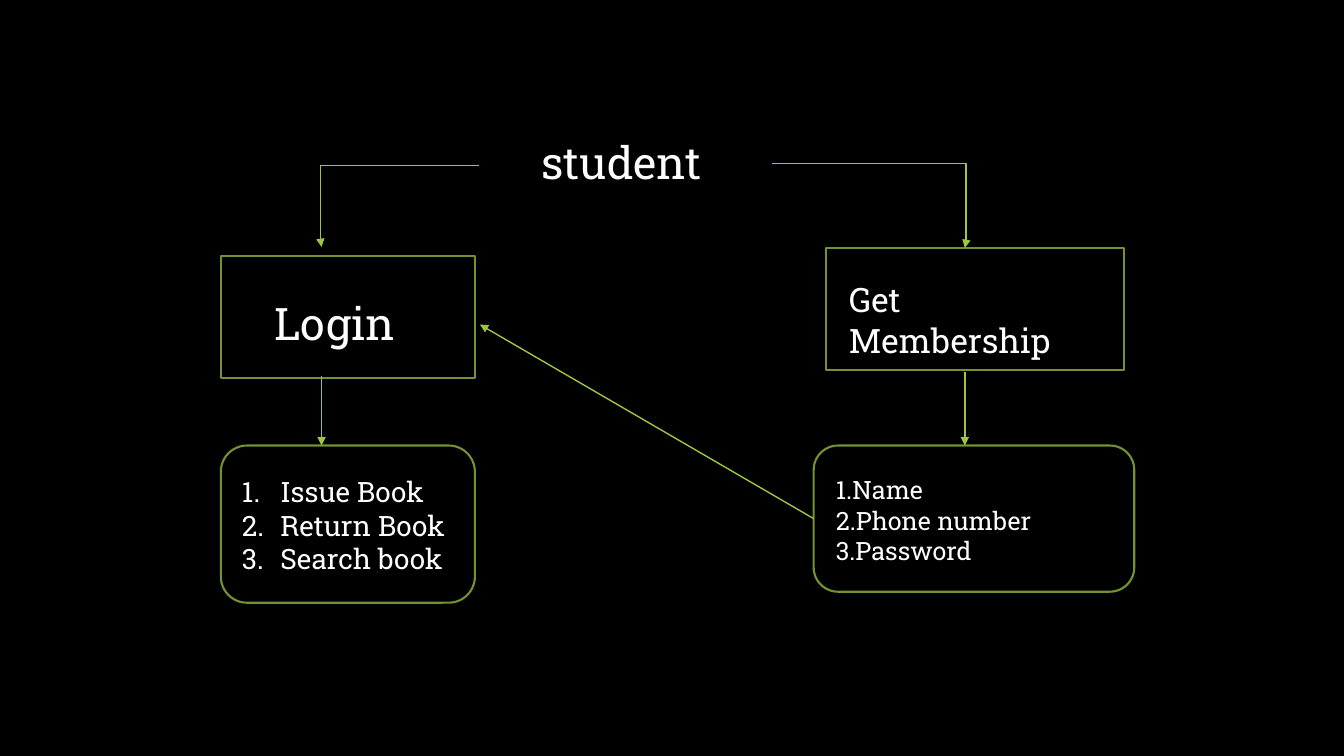
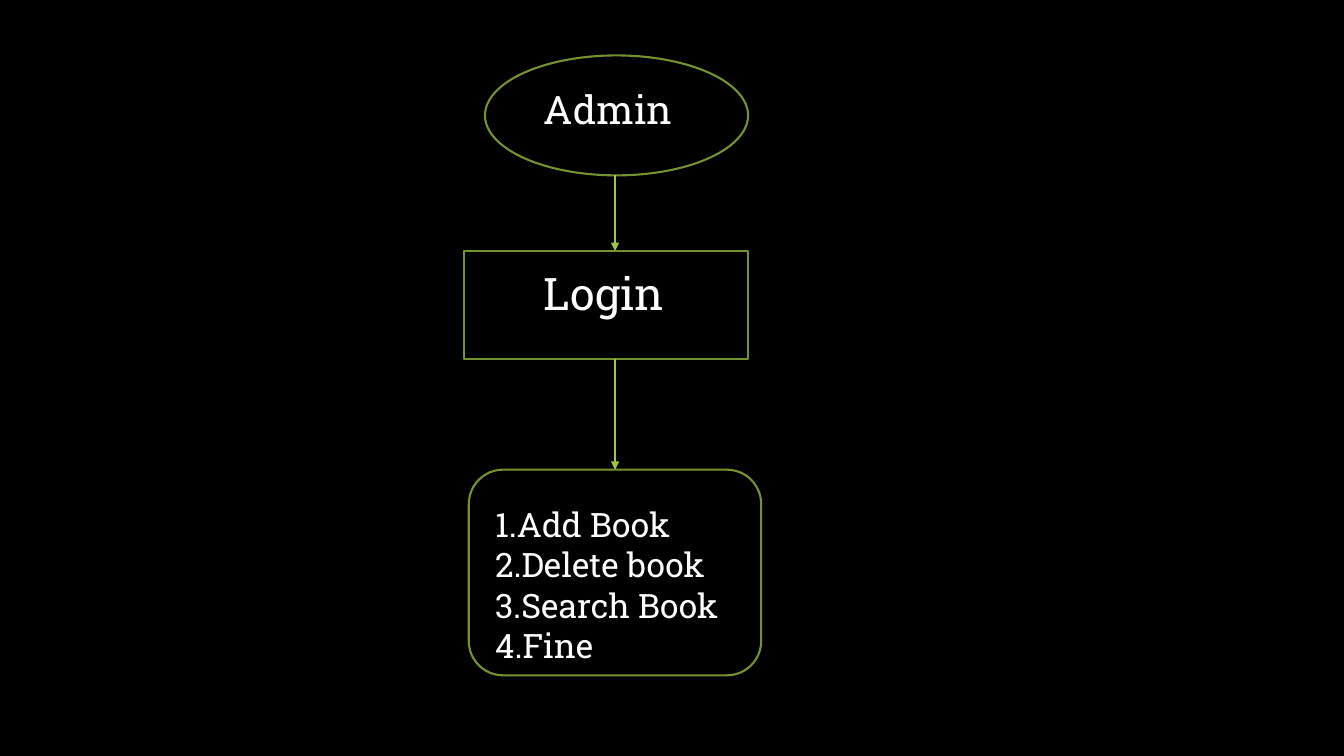
from dataclasses import dataclass

from lxml import etree
from pptx import Presentation
from pptx.dml.color import RGBColor
from pptx.enum import shapes, text
from pptx.oxml import ns
from pptx.util import Inches, Pt

BLACK = RGBColor(0x00, 0x00, 0x00)
WHITE = RGBColor(0xFF, 0xFF, 0xFF)
OLIVE = RGBColor(0x75, 0x92, 0x32)
LIME = RGBColor(0x9E, 0xC5, 0x44)
FONT = "Roboto Slab"
NUMBER_INDENT = 0.38
ELBOW_BEND = 100700
TOP, LEFT = 0, 1

OVAL = shapes.MSO_SHAPE.OVAL
RECTANGLE = shapes.MSO_SHAPE.RECTANGLE
ROUNDED = shapes.MSO_SHAPE.ROUNDED_RECTANGLE
STRAIGHT = shapes.MSO_CONNECTOR.STRAIGHT
ELBOW = shapes.MSO_CONNECTOR.ELBOW


@dataclass
class Box:
    left: float
    top: float
    width: float
    height: float

    @property
    def bottom(self):
        return self.top + self.height

    @property
    def middle(self):
        return self.top + self.height / 2

    def within(self, left, top, width, height):
        return Box(self.left + left, self.top + top, width, height)

    def lengths(self):
        return [Inches(n) for n in (self.left, self.top, self.width, self.height)]


def add_xml(parent, tag, **attributes):
    return etree.SubElement(parent, ns.qn(tag), attributes)


def add_outline(slide, kind, box, line=OLIVE):
    shape = slide.shapes.add_shape(kind, *box.lengths())
    shape.shadow.inherit = False
    shape.fill.solid()
    shape.fill.fore_color.rgb = BLACK
    shape.line.color.rgb = line
    shape.line.width = Pt(1.5)
    return shape


def write(shape, content, size=32, align=text.PP_ALIGN.LEFT, numbered=False):
    frame = shape.text_frame
    frame.text = content
    frame.word_wrap = True
    frame.auto_size = text.MSO_AUTO_SIZE.SHAPE_TO_FIT_TEXT
    frame.vertical_anchor = text.MSO_ANCHOR.TOP
    indent = Inches(NUMBER_INDENT) if numbered else 0
    for paragraph in frame.paragraphs:
        paragraph.alignment = align
        paragraph.space_before = Pt(0)
        font = paragraph.runs[0].font
        font.name = FONT
        font.size = Pt(size)
        font.color.rgb = WHITE
        properties = paragraph.runs[0].font and paragraph._p.get_or_add_pPr()
        properties.set("marL", str(indent))
        properties.set("indent", str(-indent))
        if numbered:
            add_xml(properties, "a:buFont", typeface=FONT)
            add_xml(properties, "a:buAutoNum", type="arabicPeriod")
        else:
            add_xml(properties, "a:buNone")


def add_label(slide, content, box, **formatting):
    write(slide.shapes.add_textbox(*box.lengths()), content, **formatting)


def fill_placeholder(placeholder, content, box, **formatting):
    placeholder.left, placeholder.top, placeholder.width, placeholder.height = box.lengths()
    placeholder.element.getparent().append(placeholder.element)
    write(placeholder, content, **formatting)


def add_actor(slide, name, box, label_box, line=OLIVE, size=32):
    add_outline(slide, OVAL, box, line)
    fill_placeholder(slide.shapes.title, name, label_box,
                     size=size, align=text.PP_ALIGN.CENTER)


def add_step(slide, name, box, label_box, **formatting):
    add_outline(slide, RECTANGLE, box)
    add_label(slide, name, label_box, **formatting)


def add_list(slide, index, lines, box, label_box, **formatting):
    outline = add_outline(slide, ROUNDED, box)
    fill_placeholder(slide.placeholders[index], "\n".join(lines), label_box, **formatting)
    return outline


def add_arrow(slide, start, end, kind=STRAIGHT, begin_at=None, end_at=None):
    connector = slide.shapes.add_connector(kind, *[Inches(n) for n in (*start, *end)])
    if begin_at:
        connector.begin_connect(*begin_at)
    if end_at:
        connector.end_connect(*end_at)
    connector.line.color.rgb = LIME
    connector.line.width = Pt(1)
    add_xml(connector.element.xpath(".//a:ln")[0], "a:tailEnd", type="triangle")
    add_xml(connector.element.spPr, "a:effectLst")
    if kind == ELBOW:
        add_xml(connector.element.xpath(".//a:avLst")[0], "a:gd",
                name="adj1", fmla=f"val {ELBOW_BEND}")


def build_student_slide(presentation):
    slide = presentation.slides.add_slide(presentation.slide_layouts.get_by_name("Two Content"))
    student = Box(4.71, 0.95, 2.95, 1.34)
    login = Box(2.19, 2.54, 2.52, 1.21)
    tasks = Box(2.19, 4.42, 2.52, 1.56)
    membership = Box(8.19, 2.46, 2.96, 1.21)
    details = Box(8.07, 4.42, 3.18, 1.45)
    login_axis, membership_axis = 3.19, 9.57

    add_actor(slide, "student", student, student.within(0.26, 0.34, 2.39, 0.64), line=BLACK)
    add_step(slide, "Login", login, login.within(0.43, 0.34, 1.5, 0.94))
    add_list(slide, 1, ["Issue Book", "Return Book", "Search book"], tasks,
             tasks.within(0.11, 0.24, 2.24, 1.11), size=20, numbered=True)
    add_step(slide, "Get Membership", membership,
             membership.within(0.13, 0.26, 2.67, 0.5), size=24)
    details_shape = add_list(slide, 2, ["1.Name", "2.Phone number", "3.Password"], details,
                             details.within(0.12, 0.24, 2.8, 1.01), size=18)

    add_arrow(slide, (details.left, details.middle), (4.76, 3.22),
              begin_at=(details_shape, LEFT))
    add_arrow(slide, (login_axis, 3.73), (login_axis, tasks.top))
    add_arrow(slide, (membership_axis, 3.69), (membership_axis, details.top))
    add_arrow(slide, (7.66, student.middle), (membership_axis, membership.top), ELBOW)
    add_arrow(slide, (4.75, 1.64), (login_axis, 2.45), ELBOW)


def build_admin_slide(presentation):
    slide = presentation.slides.add_slide(
        presentation.slide_layouts.get_by_name("Title and Content"))
    admin = Box(4.81, 0.55, 2.61, 1.19)
    login = Box(4.6, 2.49, 2.82, 1.07)
    tasks = Box(4.65, 4.66, 2.9, 2.04)
    axis = tasks.left + tasks.width / 2

    add_actor(slide, "Admin", admin, admin.within(0.26, 0.25, 1.92, 0.57), size=28)
    add_step(slide, "Login", login, login.within(0.13, 0.1, 2.52, 0.64),
             align=text.PP_ALIGN.CENTER)
    tasks_shape = add_list(slide, 1, ["1.Add Book", "2.Delete book", "3.Search Book", "4.Fine"],
                           tasks, tasks.within(0.16, 0.29, 2.61, 1.72), size=24)

    add_arrow(slide, (axis, admin.bottom), (axis, login.top))
    add_arrow(slide, (axis, login.bottom), (axis, tasks.top), end_at=(tasks_shape, TOP))


def main():
    presentation = Presentation()
    presentation.slide_width = Inches(13.33)
    presentation.slide_height = Inches(7.5)
    background = presentation.slide_master.background.fill
    background.solid()
    background.fore_color.rgb = BLACK
    build_student_slide(presentation)
    build_admin_slide(presentation)
    presentation.save("out.pptx")


if __name__ == "__main__":
    main()
